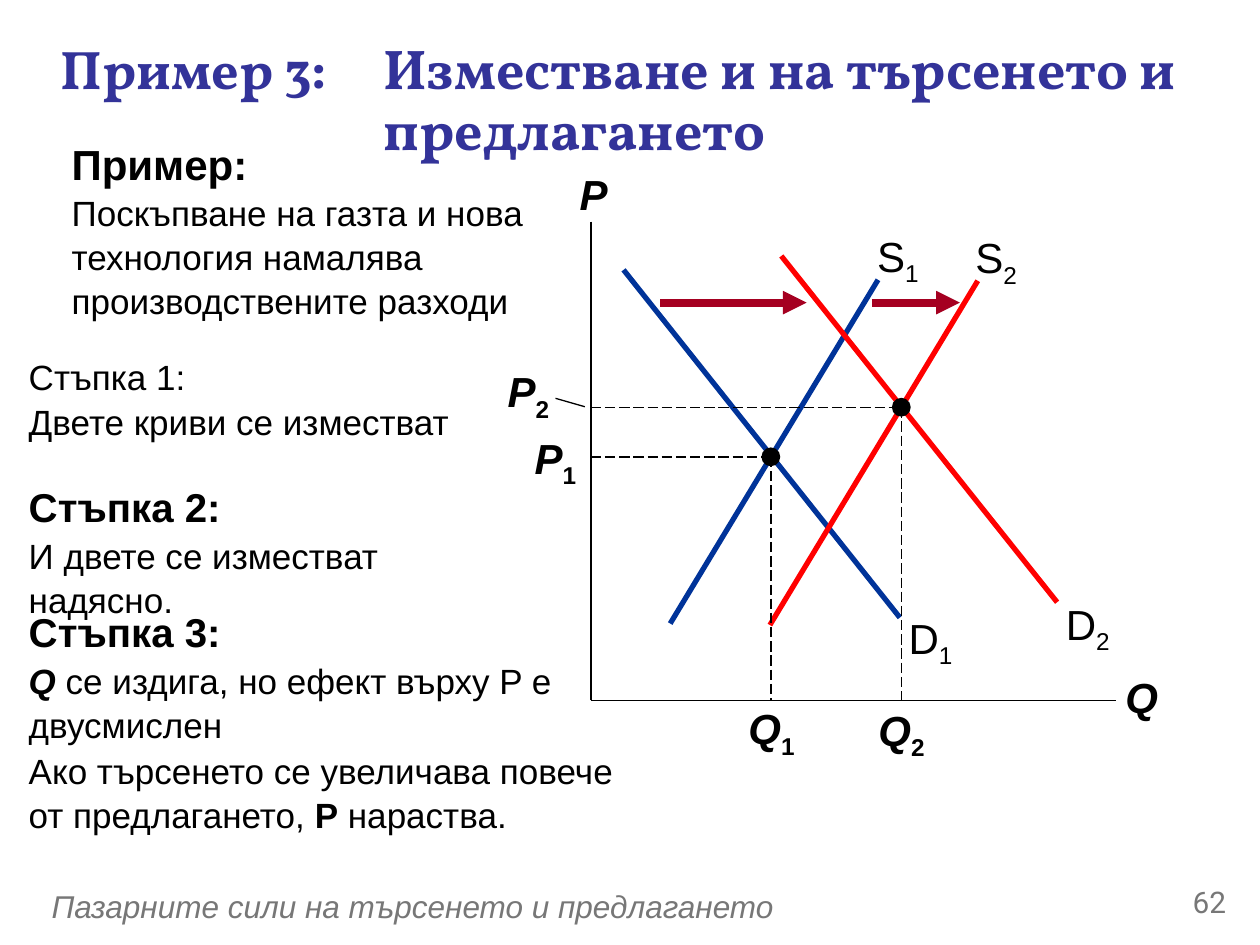
from lxml.etree import SubElement
from pptx import Presentation
from pptx.dml.color import RGBColor
from pptx.enum.dml import MSO_LINE
from pptx.enum.shapes import MSO_CONNECTOR, MSO_SHAPE
from pptx.enum.text import MSO_ANCHOR, MSO_AUTO_SIZE, PP_ALIGN
from pptx.oxml.ns import qn
from pptx.util import Cm, Pt

BLACK, GREY, INDIGO = "000000", "777777", "333399"
BLUE, RED, CRIMSON = "003399", "FF0000", "A50021"


def color(hex_text):
    return RGBColor.from_string(hex_text)


def style_font(font, size=None, name=None, ink=None, bold=None, italic=None):
    """Set only the given properties."""
    if size:
        font.size = Pt(size)
    if name:
        font.name = name
    if ink:
        font.color.rgb = color(ink)
    if bold is not None:
        font.bold = bold
    if italic is not None:
        font.italic = italic


class SlidePainter:
    font_name = "Arial"

    def __init__(self, page):
        self.page = page

    def place(self, shape, left, top, width, height):
        shape.left, shape.top = Cm(left), Cm(top)
        shape.width, shape.height = Cm(width), Cm(height)

    def fill_paragraph(self, paragraph, spans, align=PP_ALIGN.LEFT, **style):
        """Add the spans; each is a text and the style that sets it apart."""
        paragraph.alignment = align
        style_font(paragraph.font, **{"name": self.font_name, "ink": BLACK, **style})
        for text, changes in spans:
            if text == "\n":
                paragraph.add_line_break()
                continue
            span = paragraph.add_run()
            span.text = text
            changes = dict(changes)
            baseline = changes.pop("baseline", None)
            style_font(span.font, **changes)
            if baseline:
                span._r.get_or_add_rPr().set("baseline", str(baseline))

    def text_box(self, area, paragraphs, margin=None, anchor=MSO_ANCHOR.TOP, spacing=None):
        """Add a box; each paragraph is its spans and its style."""
        box = self.page.shapes.add_textbox(*map(Cm, area))
        frame = box.text_frame
        frame.word_wrap = True
        frame.vertical_anchor = anchor
        if margin is not None:
            frame.margin_left = frame.margin_right = Cm(margin)
            frame.margin_top = frame.margin_bottom = Cm(margin)
        for index, (spans, style) in enumerate(paragraphs):
            para = frame.add_paragraph() if index else frame.paragraphs[0]
            if spacing:
                para.line_spacing = spacing
            if index:
                para.space_before = Pt(1)
            self.fill_paragraph(para, spans, **style)

    def placeholder(self, index, area, spans, anchor, indent, spacing, **style):
        shape = self.page.placeholders[index]
        self.place(shape, *area)
        frame = shape.text_frame
        frame.auto_size = MSO_AUTO_SIZE.NONE
        frame.vertical_anchor = anchor
        para = frame.paragraphs[0]
        para.line_spacing = spacing
        para.space_before = Pt(0)
        properties = para._p.get_or_add_pPr()
        properties.set("marL", str(Cm(indent)))
        properties.set("indent", str(-Cm(indent)))
        SubElement(properties, qn("a:buNone"))
        self.fill_paragraph(para, spans, **style)

    def label(self, left, top, width, letter, number="", margin=None, height=1.27, strong=True):
        """Add an axis or curve name, with its number as a subscript."""
        spans = [(letter, {"italic": strong})]
        if number:
            spans.append((number, {"baseline": -25000}))
        style = {"size": 24, "bold": strong, "align": PP_ALIGN.CENTER}
        self.text_box((left, top, width, height), [(spans, style)], margin)

    def line(self, start, end, ink=BLACK, width=1.0, dashed=False, arrow=False):
        connector = self.page.shapes.add_connector(
            MSO_CONNECTOR.STRAIGHT, *map(Cm, (*start, *end)))
        connector.line.color.rgb = color(ink)
        connector.line.width = Pt(width)
        if dashed:
            connector.line.dash_style = MSO_LINE.LONG_DASH
        if arrow:
            SubElement(connector.line._get_or_add_ln(), qn("a:tailEnd"), type="triangle")
        SubElement(connector._element.spPr, qn("a:effectLst"))

    def dot(self, center, size=0.38):
        x, y = center
        shape = self.page.shapes.add_shape(
            MSO_SHAPE.OVAL, Cm(x - size / 2), Cm(y - size / 2), Cm(size), Cm(size))
        shape.shadow.inherit = False
        shape.fill.solid()
        shape.fill.fore_color.rgb = color(BLACK)
        shape.line.fill.background()


def draw_text(painter):
    painter.placeholder(
        0, (0.97, 0.46, 23.19, 3.18),
        [("Пример 3:", {"size": 31}),
         ("\tИзместване и на търсенето и предлагането", {"size": 32})],
        MSO_ANCHOR.MIDDLE, indent=6.5, spacing=0.9,
        name="Vollkorn", ink=INDIGO, bold=True)
    painter.placeholder(
        1, (1.19, 2.62, 10.31, 4.57),
        [("Пример:", {"size": 24, "bold": True}), ("\n", {}),
         ("Поскъпване на газта и нова технология намалява производствените разходи", {})],
        MSO_ANCHOR.TOP, indent=0, spacing=1.05, size=20)

    plain, heading = {"size": 20}, {"size": 23, "bold": True}
    steps = [
        ((0.33, 6.99, 10.01, 2.01), [
            ([("Стъпка 1:", {})], plain),
            ([("Двете криви се изместват", {})], plain)]),
        ((0.33, 9.55, 9.8, 2.74), [
            ([("Стъпка 2:", {})], heading),
            ([("И двете се изместват надясно.", {})], plain)]),
        ((0.33, 12.07, 13.03, 5.79), [
            ([("Стъпка 3:", {})], heading),
            ([("Q", {"bold": True, "italic": True}),
              (" се издига, но ефект върху P е двусмислен", {})], plain),
            ([("Ако търсенето се увеличава повече от предлагането, ", {}),
              ("P", {"bold": True}), (" нараства.", {})], plain)]),
    ]
    for area, paragraphs in steps:
        painter.text_box(area, paragraphs, spacing=1.05)

    painter.text_box(
        (0.79, 17.75, 20.37, 1.02),
        [([("Пазарните сили на търсенето и предлагането", {})],
          {"size": 18, "ink": GREY, "italic": True})], anchor=MSO_ANCHOR.MIDDLE)
    painter.text_box(
        (23.06, 17.7, 1.91, 1.02),
        [([("62", {})],
          {"size": 17, "name": "Roboto", "ink": GREY, "align": PP_ALIGN.RIGHT})])


def draw_market(painter):
    axis_x, axis_y = origin = (11.91, 14.12)
    painter.line((axis_x, 4.47), origin)
    painter.line(origin, (22.5, axis_y))
    painter.label(11.38, 3.28, 1.17, "P")
    painter.label(22.38, 13.41, 1.27, "Q")

    curves = [
        ("D", "1", BLUE, (12.57, 5.44), (18.14, 12.45), (17.96, 12.22)),
        ("S", "1", BLUE, (13.51, 12.57), (17.7, 5.64), (17.3, 4.52)),
        ("S", "2", RED, (15.52, 12.6), (19.71, 5.66), (19.28, 4.55)),
        ("D", "2", RED, (15.75, 5.16), (21.31, 12.14), (21.13, 11.94)),
    ]
    for letter, number, ink, start, end, corner in curves:
        painter.line(start, end, ink, 3)
        painter.label(*corner, 1.6, letter, number, strong=False)

    equilibria = [
        ("1", (15.54, 9.21), (10.52, 8.71), (14.88, 14.17)),
        ("2", (18.17, 8.21), (9.98, 7.37), (17.5, 14.2)),
    ]
    for number, point, price_corner, quantity_corner in equilibria:
        x, y = point
        painter.line((axis_x, y), point, width=0.75, dashed=True)
        painter.line(point, (x, axis_y), width=0.75, dashed=True)
        painter.dot(point)
        for letter, corner in (("P", price_corner), ("Q", quantity_corner)):
            painter.label(*corner, 1.35, letter, number, margin=0, height=1.02)
    painter.line((11.79, 8.2), (11.2, 8.03), width=0.75)

    for start_x, end_x in ((13.31, 16.26), (17.58, 19.35)):
        painter.line((start_x, 6.1), (end_x, 6.1), CRIMSON, 4.5, arrow=True)


def main():
    deck = Presentation()
    deck.slide_width, deck.slide_height = Cm(25.4), Cm(19.05)
    painter = SlidePainter(deck.slides.add_slide(deck.slide_layouts[1]))
    draw_text(painter)
    draw_market(painter)
    deck.save("out.pptx")


if __name__ == "__main__":
    main()
